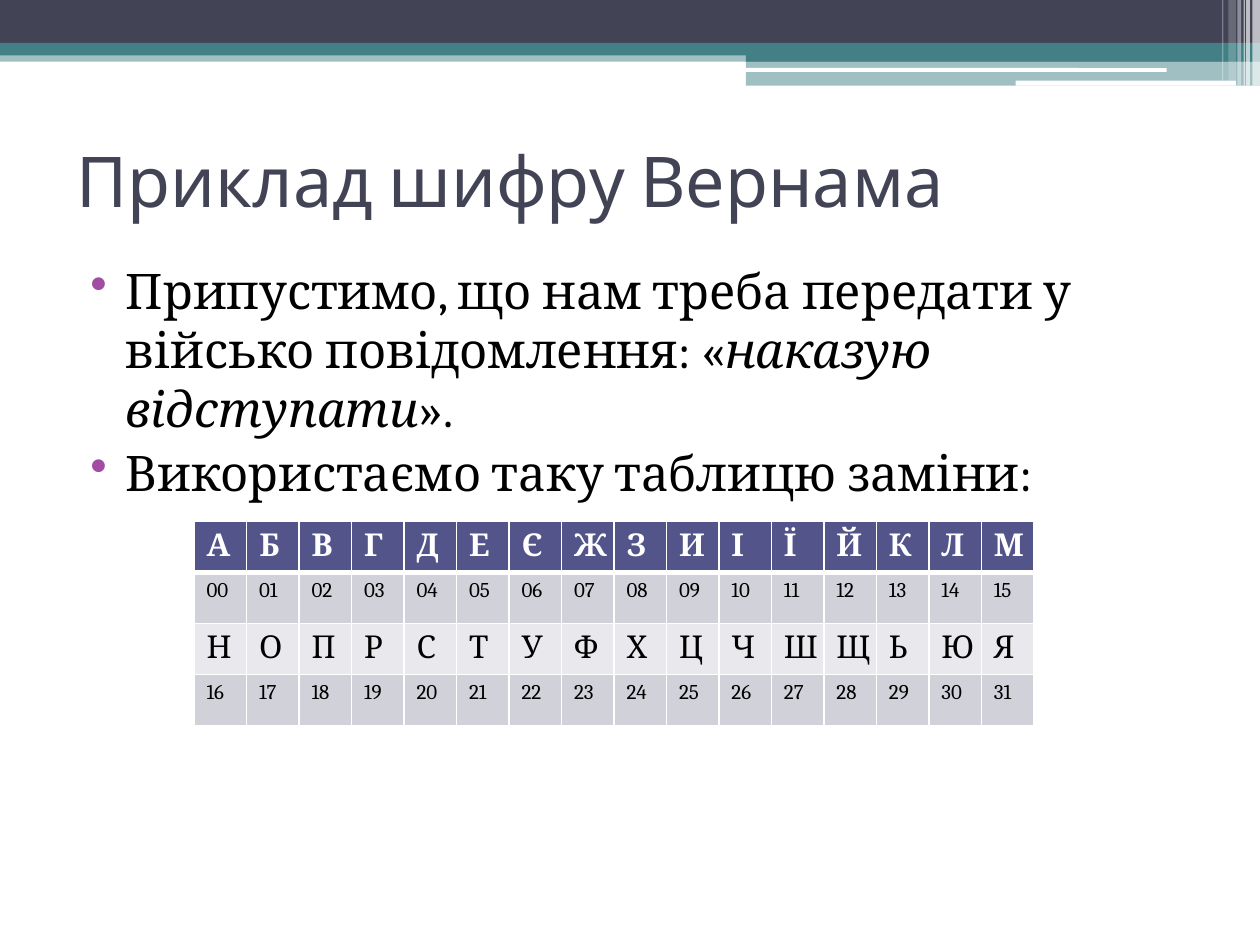
from lxml import etree
from pptx import Presentation
from pptx.dml.color import RGBColor
from pptx.enum.shapes import MSO_SHAPE
from pptx.enum.text import MSO_ANCHOR, PP_ALIGN
from pptx.oxml import parse_xml
from pptx.oxml.ns import nsdecls, qn
from pptx.util import Inches, Pt

RECT, ROUND = MSO_SHAPE.RECTANGLE, MSO_SHAPE.ROUNDED_RECTANGLE
MIDDLE, LEFT = MSO_ANCHOR.MIDDLE, PP_ALIGN.LEFT
TITLE_FONT, BODY_FONT = "Cabin", "Cambria"
COLORS = {
    "navy": "424456", "teal": "438086", "white": "FFFFFF", "black": "000000",
    "bullet": "A04DA3", "header": "53548A", "band": "D1D1DA", "light": "E9E9ED",
}

# Header bars: left, top, width, height, colour, opacity in percent
BARS = [
    (0, 0.4, 10, 0.09, "teal", 50),
    (0, 0, 10, 0.34, "navy", 100),
    (0, 0.34, 10, 0.1, "teal", 100),
    (5.92, 0.39, 4.08, 0.1, "teal", 100),
    (5.92, 0.48, 4.08, 0.2, "teal", 50),
]
ROUND_BARS = [(5.91, 0.54, 3.35, 0.03), (8.06, 0.64, 1.75, 0.04)]
# Vertical stripes: left, width, height, opacity in percent
STRIPES = [
    (9.94, 0.06, 0.68, 65), (9.89, 0.03, 0.68, 65), (9.87, 0.01, 0.68, 60),
    (9.82, 0.03, 0.68, 40), (9.75, 0.06, 0.64, 20), (9.7, 0.01, 0.64, 30),
]

BULLETS = [
    [("Припустимо, що нам треба передати у військо повідомлення: «", False),
     ("наказую відступати", True), ("».", False)],
    [("Використаємо таку таблицю заміни:", False)],
]
ALPHABET = "АБВГДЕЄЖЗИІЇЙКЛМНОПРСТУФХЦЧШЩЬЮЯ"
COLUMNS = 16


def rgb(name):
    return RGBColor.from_string(COLORS[name])


def set_font(font, name, size, color, bold=False):
    font.name, font.size, font.bold = name, Pt(size), bold
    font.color.rgb = rgb(color)


def add_bar(s, left, top, width, height, color, opacity=100, kind=RECT):
    sp = s.shapes.add_shape(kind, Inches(left), Inches(top), Inches(width), Inches(height))
    sp.shadow.inherit = False
    sp.line.fill.background()
    sp.fill.solid()
    sp.fill.fore_color.rgb = rgb(color)
    if opacity < 100:
        clr = sp.fill._xPr.find(qn("a:solidFill"))[0]
        etree.SubElement(clr, qn("a:alpha")).set("val", str(opacity * 1000))


def add_header(s):
    for bar in BARS:
        add_bar(s, *bar)
    for bar in ROUND_BARS:
        add_bar(s, *bar, "white", kind=ROUND)
    for left, width, height, opacity in STRIPES:
        add_bar(s, left, 0, width, height, "white", opacity)


def add_title(s, text):
    title = s.shapes.title
    title.left, title.top = Inches(0.51), Inches(0.84)
    title.width, title.height = Inches(9), Inches(1.17)
    tf = title.text_frame
    tf.text = text
    tf.vertical_anchor = MIDDLE
    p = tf.paragraphs[0]
    p.alignment = LEFT
    set_font(p.font, TITLE_FONT, 40, "navy")


def set_bullet(p):
    pPr = p._p.get_or_add_pPr()
    pPr.set("marL", str(Inches(0.4)))
    pPr.set("indent", str(Inches(-0.28)))
    color = etree.Element(qn("a:buClr"))
    etree.SubElement(color, qn("a:srgbClr")).set("val", COLORS["bullet"])
    char = etree.Element(qn("a:buChar"))
    char.set("char", "•")
    # Bullet marks come after spacing and before the font defaults
    font = pPr.find(qn("a:defRPr"))
    font.addprevious(color)
    font.addprevious(char)


def add_bullets(s, items):
    tf = s.shapes.add_textbox(Inches(0.5), Inches(2.02), Inches(9), Inches(5.17)).text_frame
    tf.word_wrap = True
    for i, runs in enumerate(items):
        p = tf.add_paragraph() if i else tf.paragraphs[0]
        p.space_before = Pt(3)
        set_font(p.font, BODY_FONT, 28, "black")
        set_bullet(p)
        for text, italic in runs:
            r = p.add_run()
            r.text = text
            if italic:
                r.font.italic = True


def set_borders(cell, top, bottom):
    tcPr = cell._tc.get_or_add_tcPr()
    for i, (side, width) in enumerate(zip("LRTB", (1, 1, top, bottom))):
        tcPr.insert(i, parse_xml(
            f'<a:ln{side} {nsdecls("a")} w="{Pt(width)}"><a:solidFill>'
            f'<a:srgbClr val="{COLORS["white"]}"/></a:solidFill></a:ln{side}>'))


def add_cipher_table(s):
    codes = [f"{n:02d}" for n in range(len(ALPHABET))]
    # Text, size, text colour, fill for each row
    rows = [
        (ALPHABET[:COLUMNS], 18, "white", "header"),
        (codes[:COLUMNS], 12, "black", "band"),
        (ALPHABET[COLUMNS:], 18, "black", "light"),
        (codes[COLUMNS:], 12, "black", "band"),
    ]
    table = s.shapes.add_table(len(rows), COLUMNS, Inches(1.54), Inches(4.14),
                               Inches(6.67), Inches(1.62)).table
    for i, (texts, size, color, fill) in enumerate(rows):
        for j, text in enumerate(texts):
            cell = table.cell(i, j)
            cell.text = text
            cell.fill.solid()
            cell.fill.fore_color.rgb = rgb(fill)
            set_font(cell.text_frame.paragraphs[0].font, BODY_FONT, size, color, bold=i == 0)
            set_borders(cell, top=3 if i == 1 else 1, bottom=3 if i == 0 else 1)


def main():
    prs = Presentation()
    prs.slide_width, prs.slide_height = Inches(10), Inches(7.5)
    s = prs.slides.add_slide(prs.slide_layouts[5])
    add_header(s)
    add_title(s, "Приклад шифру Вернама")
    add_bullets(s, BULLETS)
    add_cipher_table(s)
    prs.save("out.pptx")


if __name__ == "__main__":
    main()
